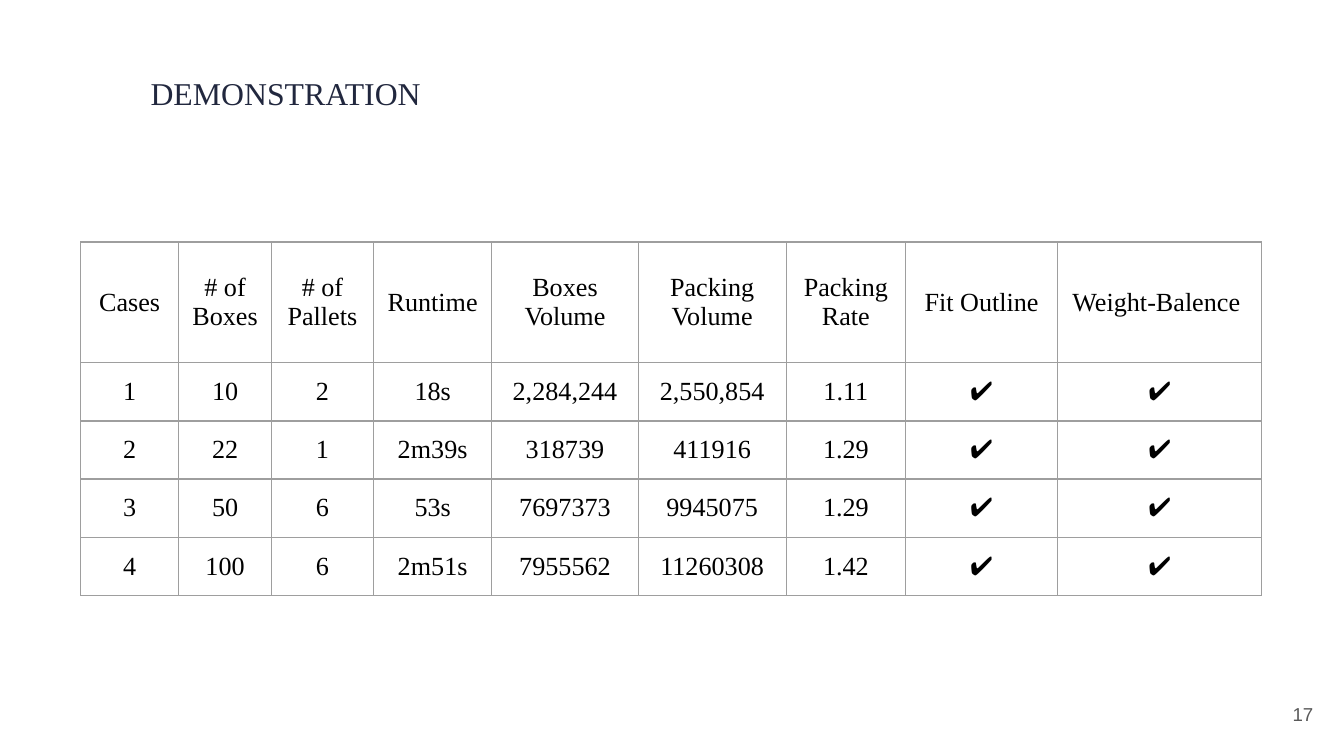
from lxml.etree import SubElement
from pptx import Presentation
from pptx.dml.color import RGBColor
from pptx.enum.text import MSO_ANCHOR as Anchor, PP_ALIGN as Align
from pptx.oxml.ns import qn
from pptx.util import Inches, Pt

# Content
TITLE = "DEMONSTRATION"
PAGE_NUMBER = "17"
HEADERS = ["Cases", "# of Boxes", "# of Pallets", "Runtime", "Boxes Volume",
           "Packing Volume", "Packing Rate", "Fit Outline", "Weight-Balence "]
CASES = [
    ["1", "10", "2", "18s", "2,284,244", "2,550,854", "1.11", "✔", "✔"],
    ["2", "22", "1", "2m39s", "318739", "411916", "1.29", "✔", "✔"],
    ["3", "50", "6", "53s", "7697373", "9945075", "1.29", "✔", "✔"],
    ["4", "100", "6", "2m51s", "7955562", "11260308", "1.42", "✔", "✔"],
]

# Layout in inches, on a 16:9 slide
SLIDE_SIZE = (10, 10 * 9 / 16)
TITLE_BOX = (1.02, 0.41, 2.33, 0.49)
PAGE_BOX = (9.27, 5.1, 0.6, 0.43)
TABLE_CORNER = (0.6, 1.8)
COLUMN_WIDTHS = [0.73, 0.69, 0.76, 0.88, 1.09, 1.1, 0.89, 1.13, 1.52]
HEADER_HEIGHT, CASES_HEIGHT = 0.9, 1.73
ROW_HEIGHTS = [HEADER_HEIGHT] + [CASES_HEIGHT / len(CASES)] * len(CASES)
MARGIN = 0.1

COLORS = {"title": "21273E", "text": "000000", "page": "595959",
          "border": "9E9E9E", "background": "FFFFFF"}
SERIF, SANS = "Times New Roman", "Arial"


def write_text(frame, text, *, size, color, font=SERIF, align=Align.LEFT, spacing=1.0):
    paragraph = frame.paragraphs[0]
    paragraph.alignment = align
    paragraph.line_spacing = spacing
    run = paragraph.add_run()
    run.text = text
    run.font.size = Pt(size)
    run.font.name = font
    run.font.bold = False
    run.font.color.rgb = RGBColor.from_string(COLORS[color])


def set_margins(holder):
    """Give a text frame or table cell equal margins on all sides."""
    for side in ("left", "right", "top", "bottom"):
        setattr(holder, f"margin_{side}", Inches(MARGIN))


def add_borders(cell, color, width):
    properties = cell._tc.get_or_add_tcPr()
    for tag in ("a:lnL", "a:lnR", "a:lnT", "a:lnB"):
        line = SubElement(properties, qn(tag), w=str(Pt(width)))
        fill = SubElement(line, qn("a:solidFill"))
        SubElement(fill, qn("a:srgbClr"), val=COLORS[color])


def add_title(slide):
    title = slide.shapes.title
    title.left, title.top, title.width, title.height = map(Inches, TITLE_BOX)
    frame = title.text_frame
    frame.word_wrap = True
    frame.vertical_anchor = Anchor.TOP
    set_margins(frame)
    write_text(frame, TITLE, size=17, color="title", spacing=1.15)


def add_case_table(slide):
    rows = [HEADERS] + CASES
    table = slide.shapes.add_table(
        len(rows), len(HEADERS), *map(Inches, TABLE_CORNER),
        Inches(sum(COLUMN_WIDTHS)), Inches(sum(ROW_HEIGHTS))).table
    table.first_row = table.horz_banding = False
    for column, width in zip(table.columns, COLUMN_WIDTHS):
        column.width = Inches(width)
    for row, height, texts in zip(table.rows, ROW_HEIGHTS, rows):
        row.height = Inches(height)
        for cell, text in zip(row.cells, texts):
            cell.vertical_anchor = Anchor.MIDDLE
            set_margins(cell)
            add_borders(cell, "border", 0.75)
            cell.fill.background()
            write_text(cell.text_frame, text, size=14, color="text", align=Align.CENTER)


def add_page_number(slide):
    frame = slide.shapes.add_textbox(*map(Inches, PAGE_BOX)).text_frame
    frame.word_wrap = True
    frame.vertical_anchor = Anchor.MIDDLE
    set_margins(frame)
    write_text(frame, PAGE_NUMBER, size=10, color="page", font=SANS, align=Align.RIGHT)


def main():
    presentation = Presentation()
    presentation.slide_width, presentation.slide_height = map(Inches, SLIDE_SIZE)
    title_only = presentation.slide_layouts[5]
    slide = presentation.slides.add_slide(title_only)
    background = slide.background.fill
    background.solid()
    background.fore_color.rgb = RGBColor.from_string(COLORS["background"])
    add_title(slide)
    add_case_table(slide)
    add_page_number(slide)
    presentation.save("out.pptx")


if __name__ == "__main__":
    main()
